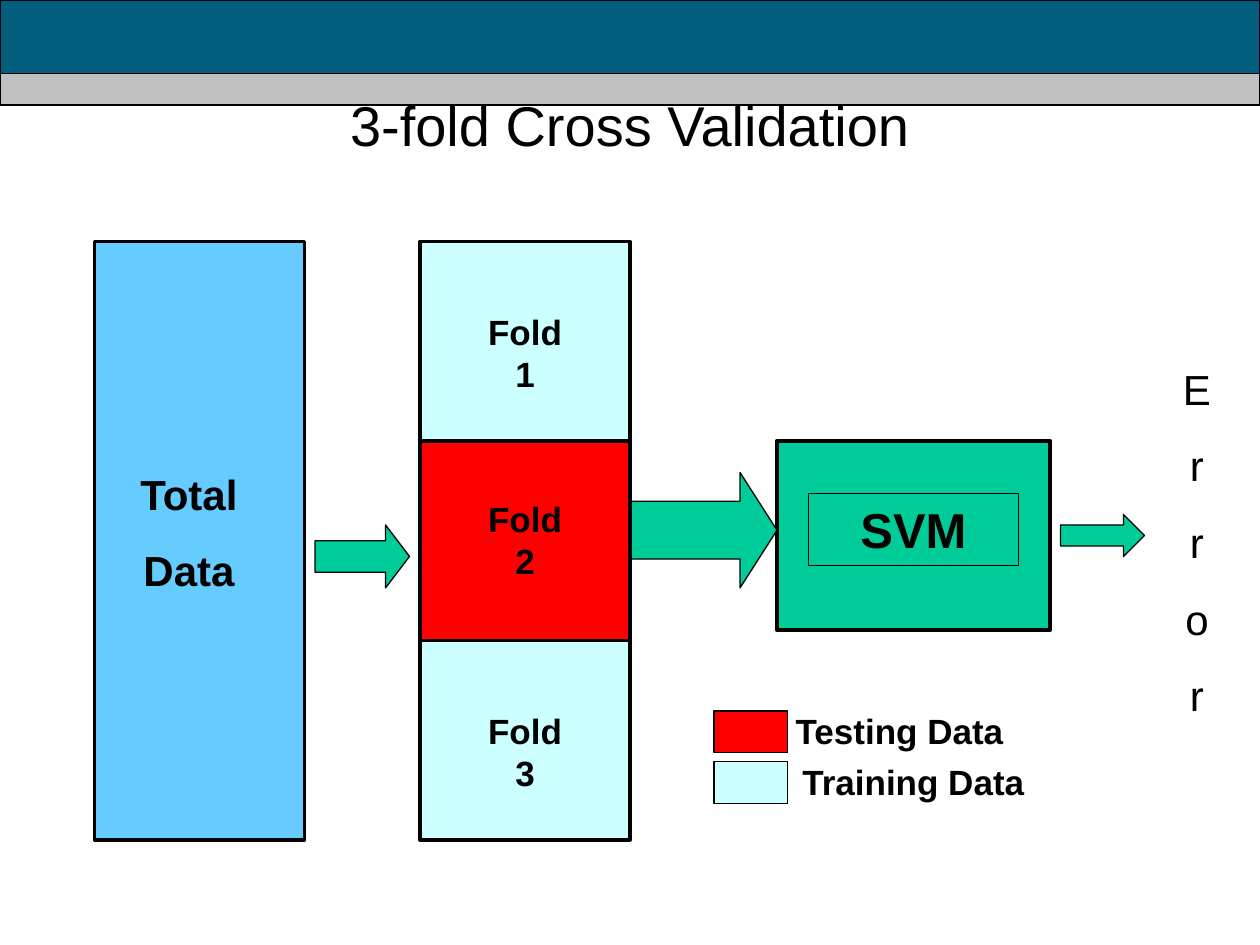
from pptx import Presentation
from pptx.dml.color import RGBColor
from pptx.enum.shapes import MSO_SHAPE
from pptx.enum.text import MSO_ANCHOR, MSO_AUTO_SIZE, PP_ALIGN
from pptx.util import Inches, Pt

BLACK, TEAL, GREY = "000000", "045E7E", "C0C0C0"
BLUE, GREEN, TRAINING, TESTING = "66CCFF", "00CC99", "CCFFFF", "FF0000"


def color(hex_string):
    return RGBColor.from_string(hex_string)


class Diagram:
    """Draws on a grid of 120 columns by 90 rows."""
    font_name = "Arial"
    columns, rows = 120, 90

    def __init__(self, deck):
        self.slide = deck.slides.add_slide(deck.slide_layouts[5])
        self.column = deck.slide_width / self.columns
        self.row = deck.slide_height / self.rows

    def area(self, left, top, width, height):
        return (round(left * self.column), round(top * self.row),
                round(width * self.column), round(height * self.row))

    def set_text(self, frame, text, size, bold=False, align=PP_ALIGN.CENTER,
                 wrap=True, gap=0):
        frame.text = text
        frame.word_wrap = wrap
        frame.auto_size = MSO_AUTO_SIZE.NONE
        frame.vertical_anchor = MSO_ANCHOR.TOP
        for index, paragraph in enumerate(frame.paragraphs):
            paragraph.alignment = align
            paragraph.space_before = Pt(gap if index else 0)
            for run in paragraph.runs:
                run.font.name = self.font_name
                run.font.size = Pt(size)
                run.font.bold = bold
                run.font.color.rgb = color(BLACK)

    def title(self, text, *place):
        heading = self.slide.shapes.title
        heading.left, heading.top, heading.width, heading.height = self.area(*place)
        self.set_text(heading.text_frame, text, 32)
        # Bring the heading in front of the header bands
        heading.element.getparent().append(heading.element)

    def block(self, fill, *place, line=0.75, kind=MSO_SHAPE.RECTANGLE):
        shape = self.slide.shapes.add_shape(kind, *self.area(*place))
        shape.shadow.inherit = False
        if fill:
            shape.fill.solid()
            shape.fill.fore_color.rgb = color(fill)
        else:
            shape.fill.background()
        shape.line.color.rgb = color(BLACK)
        shape.line.width = Pt(line)
        return shape

    def arrow(self, head, *place):
        shape = self.block(GREEN, *place, kind=MSO_SHAPE.RIGHT_ARROW)
        shape.adjustments[0] = 0.5
        shape.adjustments[1] = head

    def label(self, text, *place, size=20, bold=True, **layout):
        box = self.slide.shapes.add_textbox(*self.area(*place))
        self.set_text(box.text_frame, text, size, bold, **layout)


def main():
    deck = Presentation()
    deck.slide_width, deck.slide_height = Inches(10), Inches(7.5)
    diagram = Diagram(deck)

    # Header bands and title
    diagram.block(TEAL, 0, 0, 120, 10)
    diagram.block(GREY, 0, 7, 120, 3)
    diagram.title("3-fold Cross Validation", 9, 8, 102, 13)

    # Total data and classifier
    diagram.block(BLUE, 9, 23, 20, 57, line=2)
    diagram.block(GREEN, 74, 42, 26, 18, line=2.5)
    svm = diagram.block(None, 77, 47, 20, 6.85)
    diagram.set_text(svm.text_frame, "SVM", 28, bold=True)

    # Flow arrows
    diagram.arrow(0.32, 60, 45, 14, 11)
    diagram.arrow(0.38, 30, 50, 9, 6)
    diagram.arrow(0.5, 101, 49, 8, 4)
    diagram.label("Total\nData", 12, 44, 12, 13.3, size=24, gap=15)

    # Folds, the middle one drawn last so its frame is on top
    fold_height = 19
    for number, fill, inset in ((1, TRAINING, 6), (3, TRAINING, 6), (2, TESTING, 4.8)):
        top = 23 + (number - 1) * fold_height
        diagram.block(fill, 40, top, 20, fold_height, line=2)
        diagram.label(f"Fold {number}", 45, top + inset, 10, 9.25)

    # Output, one letter per line
    diagram.label("\n".join("Error"), 111, 34, 6, 35.3, size=24, bold=False, gap=15)

    # Legend
    legend = (("Testing Data", TESTING, 74.25, 22.5),
              ("Training Data", TRAINING, 75, 23.75))
    for index, (meaning, fill, left, width) in enumerate(legend):
        top = 67 + index * 4.85
        diagram.block(fill, 68, top + 0.7, 7, 4)
        diagram.label(meaning, left, top, width, 5.25,
                      align=PP_ALIGN.RIGHT, wrap=False)

    deck.save("out.pptx")


if __name__ == "__main__":
    main()
